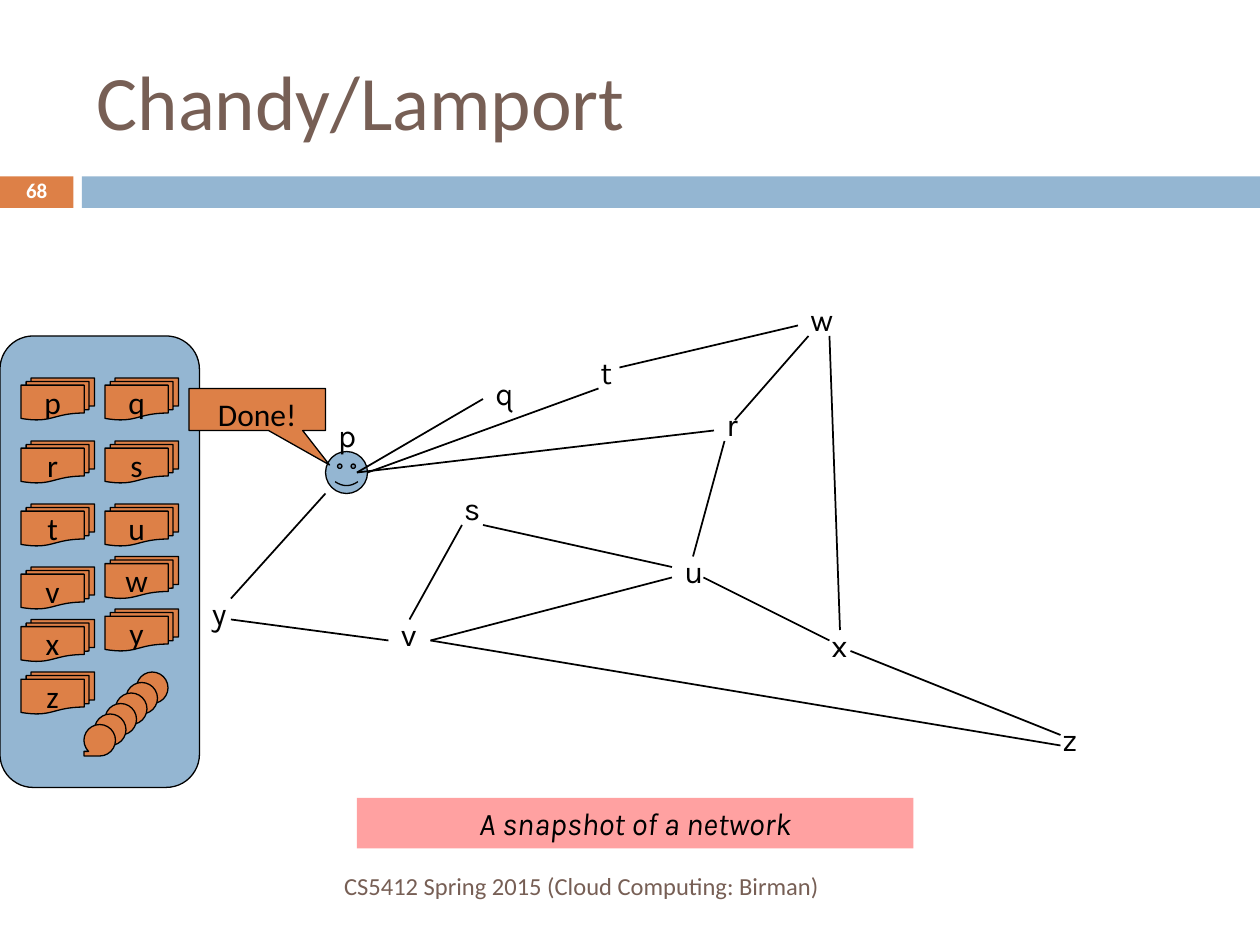
"""Build the Chandy/Lamport snapshot slide on a grid of 120 columns by 90 rows."""
from pptx import Presentation
from pptx.dml.color import RGBColor
from pptx.enum.shapes import MSO_CONNECTOR, MSO_SHAPE as SHAPE
from pptx.enum.text import MSO_ANCHOR as ANCHOR, PP_ALIGN as ALIGN
from pptx.oxml.ns import qn
from pptx.util import Inches, Pt
from lxml.etree import SubElement

BLACK = RGBColor(0x00, 0x00, 0x00)
WHITE = RGBColor(0xFF, 0xFF, 0xFF)
BLUE = RGBColor(0x94, 0xB6, 0xD2)
ORANGE = RGBColor(0xDD, 0x80, 0x47)
BROWN = RGBColor(0x77, 0x5F, 0x55)
PINK = RGBColor(0xFF, 0xA1, 0xA1)

presentation = Presentation()
presentation.slide_width = Inches(10)
presentation.slide_height = Inches(7.5)
UNIT = presentation.slide_width / 120
slide = presentation.slides.add_slide(presentation.slide_layouts[5])
shapes = slide.shapes


def add_block(kind, column, row, columns, rows, fill, outlined=True):
    shape = shapes.add_shape(kind, *(round(n * UNIT) for n in (column, row, columns, rows)))
    shape.shadow.inherit = False
    shape.fill.solid()
    shape.fill.fore_color.rgb = fill
    if outlined:
        shape.line.color.rgb = BLACK
        shape.line.width = Pt(0.75)
    else:
        shape.line.fill.background()
    return shape


def write(shape, text, font="Calibri", size=18, color=BLACK, align=ALIGN.CENTER,
          anchor=ANCHOR.MIDDLE, wrap=True, bold=False, italic=False, spacing=None):
    frame = shape.text_frame
    frame.word_wrap = wrap
    frame.vertical_anchor = anchor
    paragraph = frame.paragraphs[0]
    paragraph.alignment = align
    paragraph.line_spacing = spacing
    run = paragraph.add_run()
    run.text = text
    run.font.name = font
    run.font.size = Pt(size)
    run.font.color.rgb = color
    run.font.bold = bold
    run.font.italic = italic


title = shapes.title
title.left, title.top, title.width, title.height = (round(n * UNIT) for n in (8, 3, 107, 13))
write(title, "Chandy/Lamport", size=44, color=BROWN, align=ALIGN.LEFT)

number_box = add_block(SHAPE.RECTANGLE, 0, 16.8, 7, 3, ORANGE, outlined=False)
write(number_box, "68", size=12, color=WHITE, bold=True, spacing=0.8)
add_block(SHAPE.RECTANGLE, 7.8, 16.8, 112.2, 3, BLUE, outlined=False)

add_block(SHAPE.ROUNDED_RECTANGLE, 0, 32, 19, 43, BLUE)
add_block(SHAPE.SMILEY_FACE, 31, 43, 4, 4, BLUE)

nodes = {"p": (31, 39), "q": (46, 35), "r": (68, 38), "s": (43, 46), "t": (56, 33), "u": (64, 52),
         "v": (37, 58), "w": (76, 28), "x": (78, 59), "y": (19, 56), "z": (100, 68)}
for name, (column, row) in nodes.items():
    label = shapes.add_textbox(*(round(n * UNIT) for n in (column, row, 5, 4.8)))
    write(label, name, font="Karla", align=ALIGN.LEFT, anchor=ANCHOR.TOP)

links = [(31, 47, 22, 57), (22, 59, 37, 61), (44, 50, 39, 59), (34, 45, 68, 41), (34, 45, 46, 38),
         (35, 45, 57, 37), (70, 40, 77, 32), (69, 42, 66, 53), (41, 61, 101, 71), (41, 61, 64, 55),
         (59, 35, 76, 31), (79, 32, 80, 60), (67, 55, 79, 61), (46, 50, 64, 54), (81, 62, 101, 70)]
for link in links:
    connector = shapes.add_connector(MSO_CONNECTOR.STRAIGHT, *(round(n * UNIT) for n in link))
    connector.line.color.rgb = BLACK
    connector.line.width = Pt(1)
    SubElement(connector._element.spPr, qn("a:effectLst"))

caption = add_block(SHAPE.RECTANGLE, 34, 76, 53, 4.8, PINK, outlined=False)
write(caption, "A snapshot of a network", font="Karla", anchor=ANCHOR.TOP, italic=True)

document_columns = {2: zip("prtvxz", (36, 42, 48, 54, 59, 64)),
                    10: zip("qsuwy", (36, 42, 48, 53, 58))}
for column, documents in document_columns.items():
    for name, row in documents:
        document = add_block(SHAPE.FLOWCHART_MULTIDOCUMENT, column, row, 7, 4, ORANGE)
        write(document, name, wrap=False)

for step in range(6):
    tape = add_block(SHAPE.FLOWCHART_SEQUENTIAL_ACCESS_STORAGE, 13 - step, 64 + step, 3, 3, ORANGE)
    tape._element.spPr.find(qn("a:xfrm")).set("flipH", "1")

callout = add_block(SHAPE.RECTANGULAR_CALLOUT, 18, 37, 13, 4, ORANGE)
callout.adjustments[0] = 0.53
callout.adjustments[1] = 1.32
write(callout, "Done!", anchor=ANCHOR.TOP)

footer = shapes.add_textbox(*(round(n * UNIT) for n in (8, 82, 71.2, 4.8)))
write(footer, "CS5412 Spring 2015 (Cloud Computing: Birman)", size=14, color=BROWN, align=ALIGN.RIGHT)

presentation.save("out.pptx")
